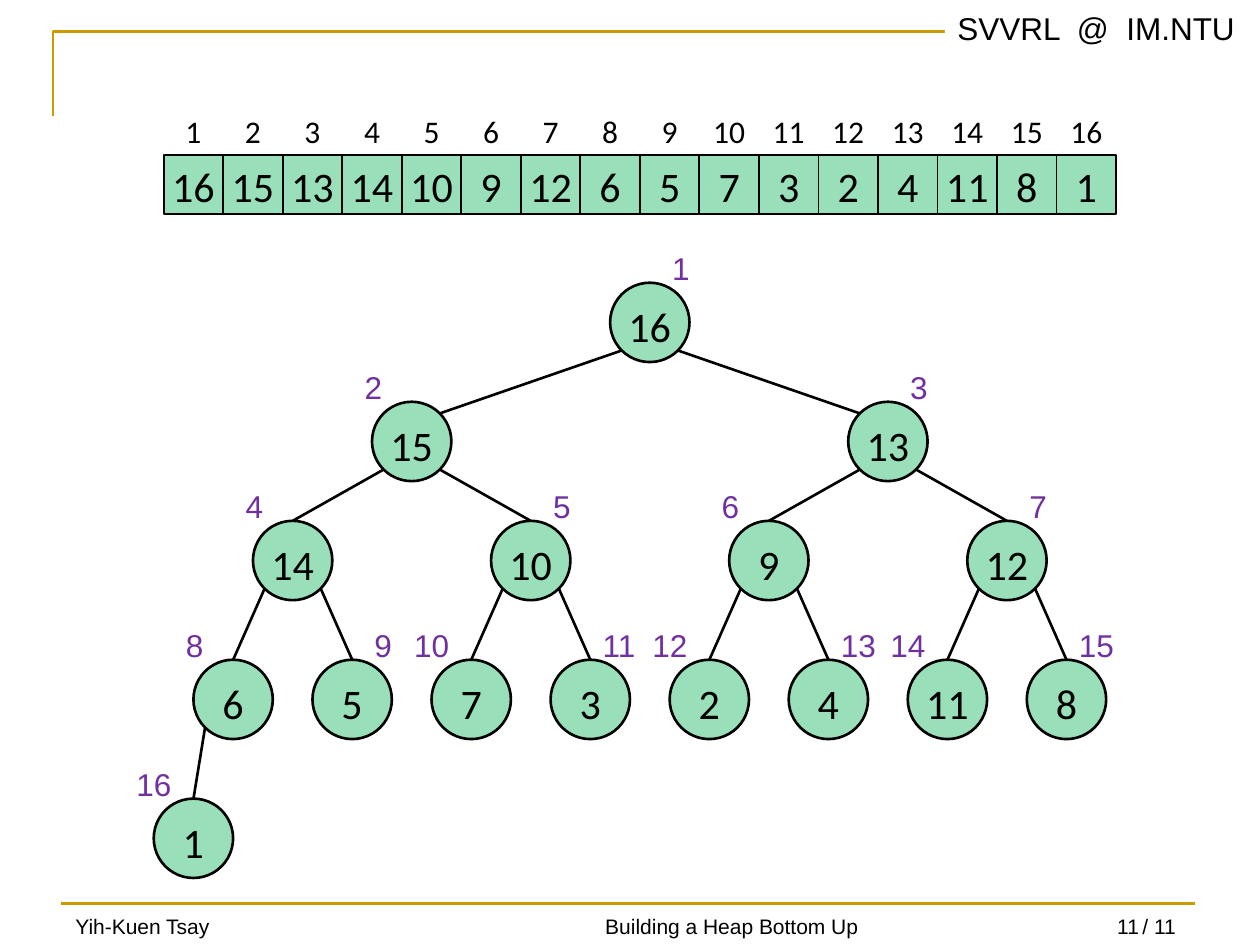
from dataclasses import dataclass

from lxml import etree
from pptx import Presentation
from pptx import util as u
from pptx.dml.color import RGBColor
from pptx.enum import shapes, text
from pptx.oxml import ns

BLACK = RGBColor(0x00, 0x00, 0x00)
WHITE = RGBColor(0xFF, 0xFF, 0xFF)
GOLD = RGBColor(0xCC, 0x99, 0x00)
GREEN = RGBColor(0x00, 0xB0, 0x50)
PURPLE = RGBColor(0x70, 0x30, 0xA0)

HEAP = [16, 15, 13, 14, 10, 9, 12, 6, 5, 7, 3, 2, 4, 11, 8, 1]
CELL, ARRAY_LEFT, ARRAY_TOP = 1.2, 3.3, 3.12
DIAMETER = 1.6
CORNER = DIAMETER / 2 * 0.5 ** 0.5
ROOT_X = 13.1
LEVEL_TOPS = [5.7, 8.1, 10.5, 13.3, 16.1]
CHILD_OFFSETS = [4.8, 2.4, 1.2, 0.8]


@dataclass
class Box:
    left: float
    top: float
    width: float
    height: float


@dataclass
class Label:
    words: str
    box: Box
    size: int = 12
    font: str = "Arial"
    color: RGBColor = BLACK
    align: text.PP_ALIGN = text.PP_ALIGN.LEFT
    anchor: text.MSO_ANCHOR = text.MSO_ANCHOR.TOP
    wrap: bool = True


@dataclass
class Node:
    index: int
    value: int
    x: float
    top: float

    @property
    def depth(self) -> int:
        return self.index.bit_length() - 1

    @property
    def middle(self) -> float:
        return self.top + DIAMETER / 2

    @property
    def on_left(self) -> bool:
        return self.index % 2 == 0


def lengths(b: Box) -> tuple:
    return u.Cm(b.left), u.Cm(b.top), u.Cm(b.width), u.Cm(b.height)


def write(sp, label: Label) -> None:
    tf = sp.text_frame
    tf.word_wrap = label.wrap
    tf.vertical_anchor = label.anchor
    p = tf.paragraphs[0]
    p.text = label.words
    p.alignment = label.align
    p.font.size = u.Pt(label.size)
    p.font.name = label.font
    p.font.color.rgb = label.color


def add_label(s, label: Label) -> None:
    write(s.shapes.add_textbox(*lengths(label.box)), label)


def add_value(s, kind: shapes.MSO_SHAPE, box: Box, value: int, weight: float) -> None:
    sp = s.shapes.add_shape(kind, *lengths(box))
    sp.shadow.inherit = False
    sp.fill.solid()
    sp.fill.fore_color.rgb = GREEN
    color = sp.fill._xPr.find(".//" + ns.qn("a:srgbClr"))
    etree.SubElement(color, ns.qn("a:alpha"), val="40000")
    sp.line.color.rgb = BLACK
    sp.line.width = u.Pt(weight)
    write(sp, Label(str(value), box, 24, "Calibri", align=text.PP_ALIGN.CENTER, wrap=False))


def add_line(s, x1: float, y1: float, x2: float, y2: float, color: RGBColor) -> None:
    line = s.shapes.add_connector(
        shapes.MSO_CONNECTOR.STRAIGHT, u.Cm(x1), u.Cm(y1), u.Cm(x2), u.Cm(y2))
    line.line.color.rgb = color
    line.line.width = u.Pt(1.5)
    etree.SubElement(line._element.spPr, ns.qn("a:effectLst"))


def add_frame(s) -> None:
    builder = s.shapes.build_freeform(u.Cm(1.07), u.Cm(2.34))
    builder.add_line_segments(
        [(u.Cm(1.07), u.Cm(0.64)), (u.Cm(23.93), u.Cm(0.64))], close=False)
    bracket = builder.convert_to_shape()
    bracket.shadow.inherit = False
    bracket.fill.background()
    bracket.line.color.rgb = GOLD
    bracket.line.width = u.Pt(1.5)
    add_line(s, 1.22, 18.21, 24.08, 18.21, GOLD)

    box = Box(19.05, 0.05, 6.35, 1.02)
    header = s.shapes.add_shape(shapes.MSO_SHAPE.RECTANGLE, *lengths(box))
    header.shadow.inherit = False
    header.fill.solid()
    header.fill.fore_color.rgb = WHITE
    header.line.fill.background()
    write(header, Label("SVVRL  @  IM.NTU", box, 18, anchor=text.MSO_ANCHOR.MIDDLE))

    add_label(s, Label("/ 11", Box(22.78, 18.29, 1.19, 0.76), wrap=False))
    for words, left, width, align in [
        ("Yih-Kuen Tsay", 1.27, 6.27, text.PP_ALIGN.LEFT),
        ("Building a Heap Bottom Up", 7.92, 13.67, text.PP_ALIGN.CENTER),
        ("11", 21.97, 1.24, text.PP_ALIGN.RIGHT),
    ]:
        add_label(s, Label(words, Box(left, 18.21, width, 0.84), align=align,
                           anchor=text.MSO_ANCHOR.BOTTOM))


def add_array(s) -> None:
    for i, value in enumerate(HEAP):
        left = ARRAY_LEFT + i * CELL
        add_value(s, shapes.MSO_SHAPE.RECTANGLE, Box(left, ARRAY_TOP, CELL, CELL), value, 1)
        add_label(s, Label(str(i + 1), Box(left, 2.13, CELL, 1), 18, "Calibri",
                           align=text.PP_ALIGN.CENTER, wrap=False))


def heap_nodes() -> dict[int, Node]:
    nodes: dict[int, Node] = {}
    for index, value in enumerate(HEAP, 1):
        node = Node(index, value, ROOT_X, 0)
        node.top = LEVEL_TOPS[node.depth]
        if index > 1:
            offset = CHILD_OFFSETS[node.depth - 1]
            node.x = nodes[index // 2].x + (-offset if node.on_left else offset)
        nodes[index] = node
    return nodes


def add_edge(s, parent: Node, child: Node) -> None:
    reach = -CORNER if child.on_left else CORNER
    x, y = child.x, child.top
    if child.depth == 1:
        x, y = child.x - reach, child.middle - CORNER
    add_line(s, parent.x + reach, parent.middle + CORNER, x, y, BLACK)


def add_node(s, node: Node) -> None:
    left = node.x - DIAMETER / 2
    add_value(s, shapes.MSO_SHAPE.OVAL, Box(left, node.top, DIAMETER, DIAMETER), node.value, 1.5)
    wide = node.index > 9
    if node.on_left:
        shift = -0.6 if wide else -0.4
    else:
        shift = 0.8 if wide else 1.0
    box = Box(left + shift, node.top - 0.8, 1.4 if wide else 1.0, 1)
    add_label(s, Label(str(node.index), box, 18, color=PURPLE))


def main() -> None:
    """Build the slide showing a finished heap as an array and as a tree."""
    prs = Presentation()
    prs.slide_width, prs.slide_height = u.Cm(25.4), u.Cm(19.05)
    s = prs.slides.add_slide(prs.slide_layouts[6])
    add_frame(s)
    add_array(s)
    nodes = heap_nodes()
    for index, node in nodes.items():
        if index > 1:
            add_edge(s, nodes[index // 2], node)
    for node in nodes.values():
        add_node(s, node)
    prs.save("out.pptx")


main()
